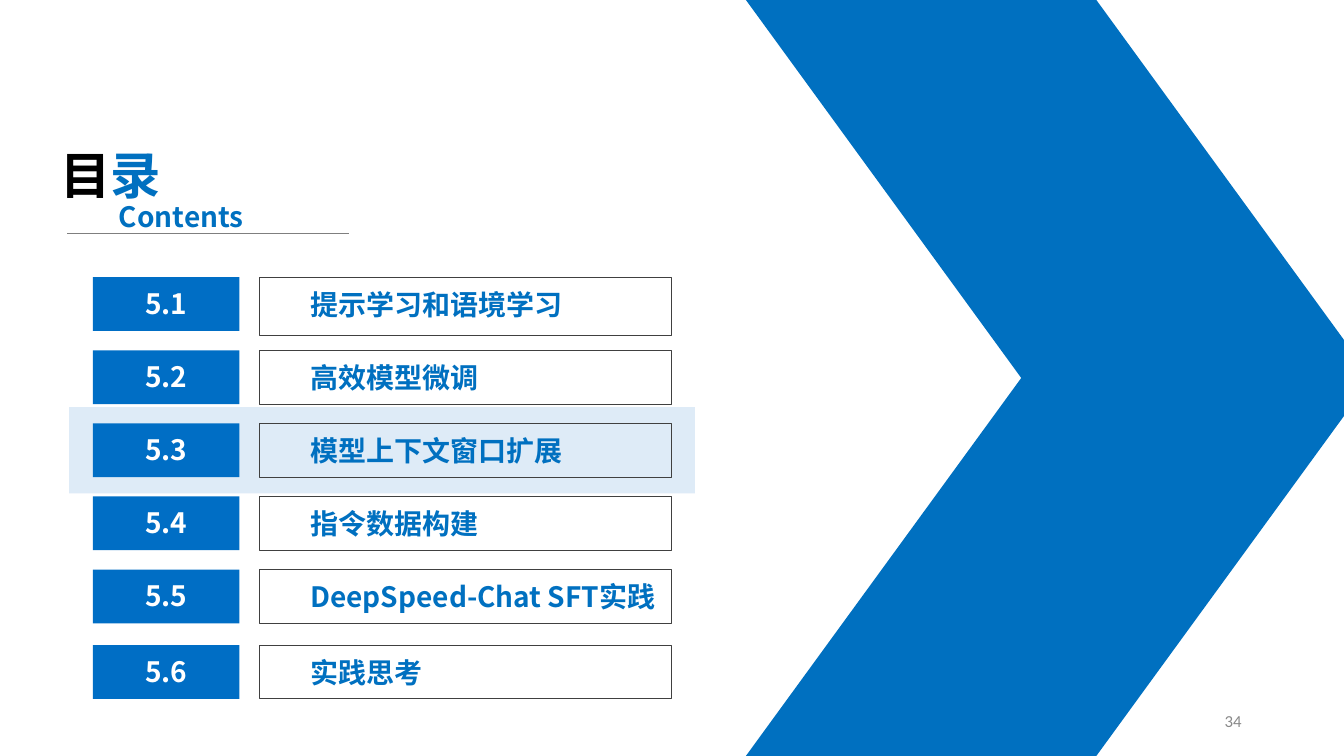
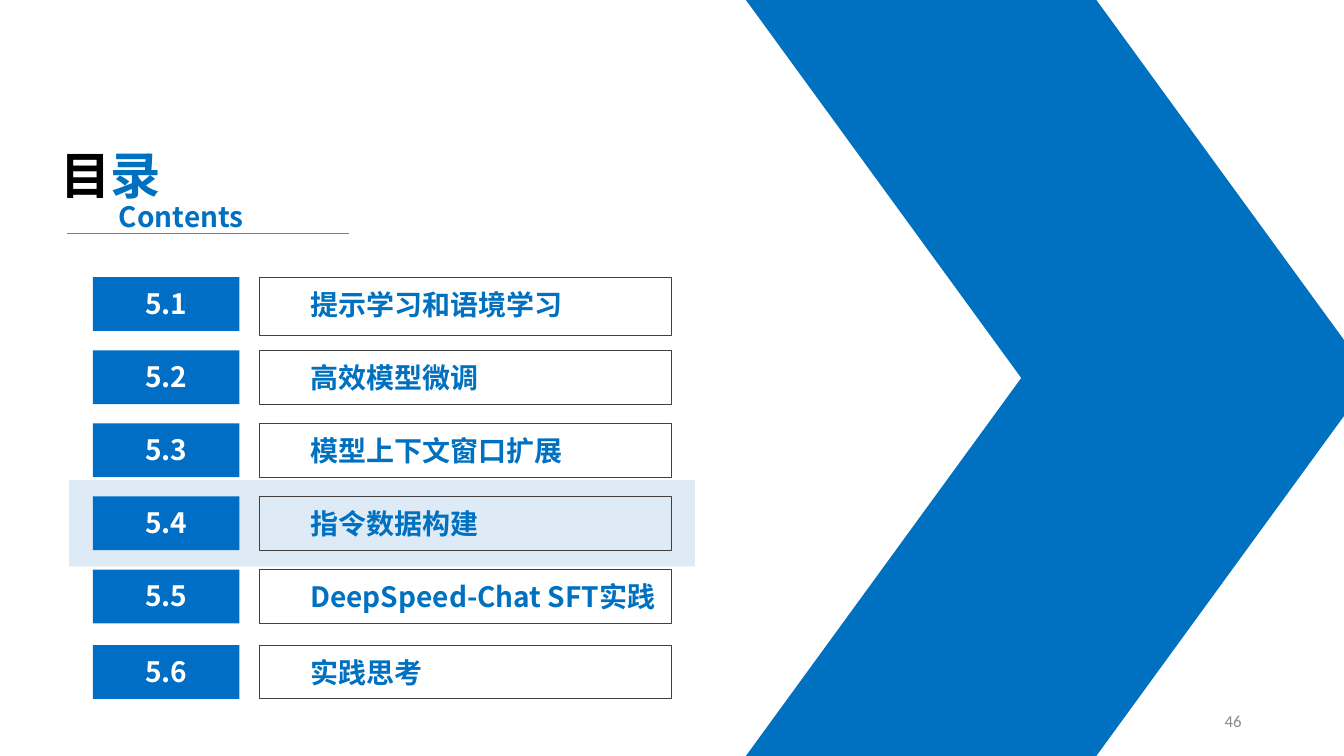
from dataclasses import dataclass

from lxml.etree import SubElement
from pptx import Presentation
from pptx.dml.color import RGBColor
from pptx.enum.shapes import MSO_CONNECTOR, MSO_SHAPE
from pptx.enum.text import MSO_ANCHOR, PP_ALIGN
from pptx.oxml.ns import qn
from pptx.util import Pt


@dataclass(frozen=True)
class Theme:
    blue: str = "0070C0"
    label_blue: str = "006EC5"
    highlight: str = "DEEBF7"
    frame: str = "404040"
    rule: str = "7F7F7F"
    page_grey: str = "898989"
    black: str = "000000"
    white: str = "FFFFFF"
    font: str = "Noto Sans CJK SC"
    page_font: str = "Calibri"
    heading_size: int = 36
    text_size: int = 20
    page_size: int = 12


@dataclass(frozen=True)
class Section:
    number: str
    title: str
    frame_height: float = 38.4
    shift: float = 0


THEME = Theme()
SECTIONS = (
    Section("5.1", "提示学习和语境学习", frame_height=42),
    Section("5.2", "高效模型微调"),
    Section("5.3", "模型上下文窗口扩展"),
    Section("5.4", "指令数据构建"),
    Section("5.5", "DeepSpeed-Chat SFT实践"),
    Section("5.6", "实践思考", shift=1.8),
)
AGENDA_PAGES = (("5.3", "34"), ("5.4", "46"))

FIRST_ROW_TOP = 198
ROW_PITCH = 52.2
ROW_HEIGHT = 38.4
HIGHLIGHT_MARGIN = 11.6


def add_shape(slide, preset, left, top, width, height, fill=None, line=None):
    shape = slide.shapes.add_shape(preset, Pt(left), Pt(top), Pt(width), Pt(height))
    shape.shadow.inherit = False
    if fill:
        shape.fill.solid()
        shape.fill.fore_color.rgb = RGBColor.from_string(fill)
    else:
        shape.fill.background()
    if line:
        shape.line.color.rgb = RGBColor.from_string(line)
        shape.line.width = Pt(0.75)
    else:
        shape.line.fill.background()
    return shape


def style_run(run, size, color, font=THEME.font, bold=True):
    """Format a run, with the same typeface for Latin and East Asian text."""
    run.font.size = Pt(size)
    run.font.bold = bold
    run.font.color.rgb = RGBColor.from_string(color)
    run.font.name = font
    SubElement(run.font._element, qn("a:ea")).set("typeface", font)


def fill_row_text(shape, text, color, align, left_inset, top_inset):
    frame = shape.text_frame
    frame.text = text
    frame.word_wrap = True
    frame.vertical_anchor = MSO_ANCHOR.TOP
    frame.margin_left, frame.margin_top = Pt(left_inset), Pt(top_inset)
    frame.margin_right = frame.margin_bottom = 0
    paragraph = frame.paragraphs[0]
    paragraph.alignment = align
    style_run(paragraph.runs[0], THEME.text_size, color)


def add_text(slide, left, top, width, height):
    """Add an empty wrapping text box and return its text frame."""
    frame = slide.shapes.add_textbox(Pt(left), Pt(top), Pt(width), Pt(height)).text_frame
    frame.word_wrap = True
    return frame


def add_heading(slide):
    heading = add_text(slide, 36, 99.4, 113, 51).paragraphs[0]
    for character, color in (("目", THEME.black), ("录", THEME.blue)):
        run = heading.add_run()
        run.text = character
        style_run(run, THEME.heading_size, color)

    underline = slide.shapes.add_connector(
        MSO_CONNECTOR.STRAIGHT, Pt(48), Pt(166.5), Pt(249), Pt(166.5))
    underline.line.color.rgb = RGBColor.from_string(THEME.rule)
    underline.line.width = Pt(0.5)
    SubElement(underline._element.spPr, qn("a:effectLst"))

    subtitle = add_text(slide, 77.8, 139, 113, 31.7).paragraphs[0]
    subtitle.text = "Contents"
    style_run(subtitle.runs[0], THEME.text_size, THEME.blue)


def add_page_number(slide, number):
    frame = add_text(slide, 678, 500.5, 216, 28.8)
    frame.vertical_anchor = MSO_ANCHOR.MIDDLE
    paragraph = frame.paragraphs[0]
    paragraph.text = number
    paragraph.alignment = PP_ALIGN.RIGHT
    style_run(paragraph.runs[0], THEME.page_size, THEME.page_grey, THEME.page_font, bold=False)


def add_section_row(slide, section, top, current):
    if current:
        add_shape(slide, MSO_SHAPE.RECTANGLE, 49.3, top - HIGHLIGHT_MARGIN, 447,
                  ROW_HEIGHT + 2 * HIGHLIGHT_MARGIN, fill=THEME.highlight)
    title = add_shape(slide, MSO_SHAPE.RECTANGLE, 185.6, top, 294, section.frame_height,
                      line=THEME.frame)
    fill_row_text(title, section.title, THEME.blue, PP_ALIGN.LEFT, 36, 7.2)
    label = add_shape(slide, MSO_SHAPE.RECTANGLE, 66.4, top, 104.6, ROW_HEIGHT,
                      fill=THEME.label_blue)
    fill_row_text(label, section.number, THEME.white, PP_ALIGN.CENTER, 0, 6.5)


def add_agenda_slide(deck, current_number, page_number):
    slide = deck.slides.add_slide(deck.slide_layouts[6])
    chevron = add_shape(slide, MSO_SHAPE.CHEVRON, 532.8, 0, 447, 540, fill=THEME.blue)
    chevron.adjustments[0] = 0.44
    add_heading(slide)
    for index, section in enumerate(SECTIONS):
        top = FIRST_ROW_TOP + index * ROW_PITCH + section.shift
        add_section_row(slide, section, top, section.number == current_number)
    add_page_number(slide, page_number)


def main():
    deck = Presentation()
    deck.slide_width, deck.slide_height = Pt(960), Pt(540)
    for current_number, page_number in AGENDA_PAGES:
        add_agenda_slide(deck, current_number, page_number)
    deck.save("out.pptx")


if __name__ == "__main__":
    main()
